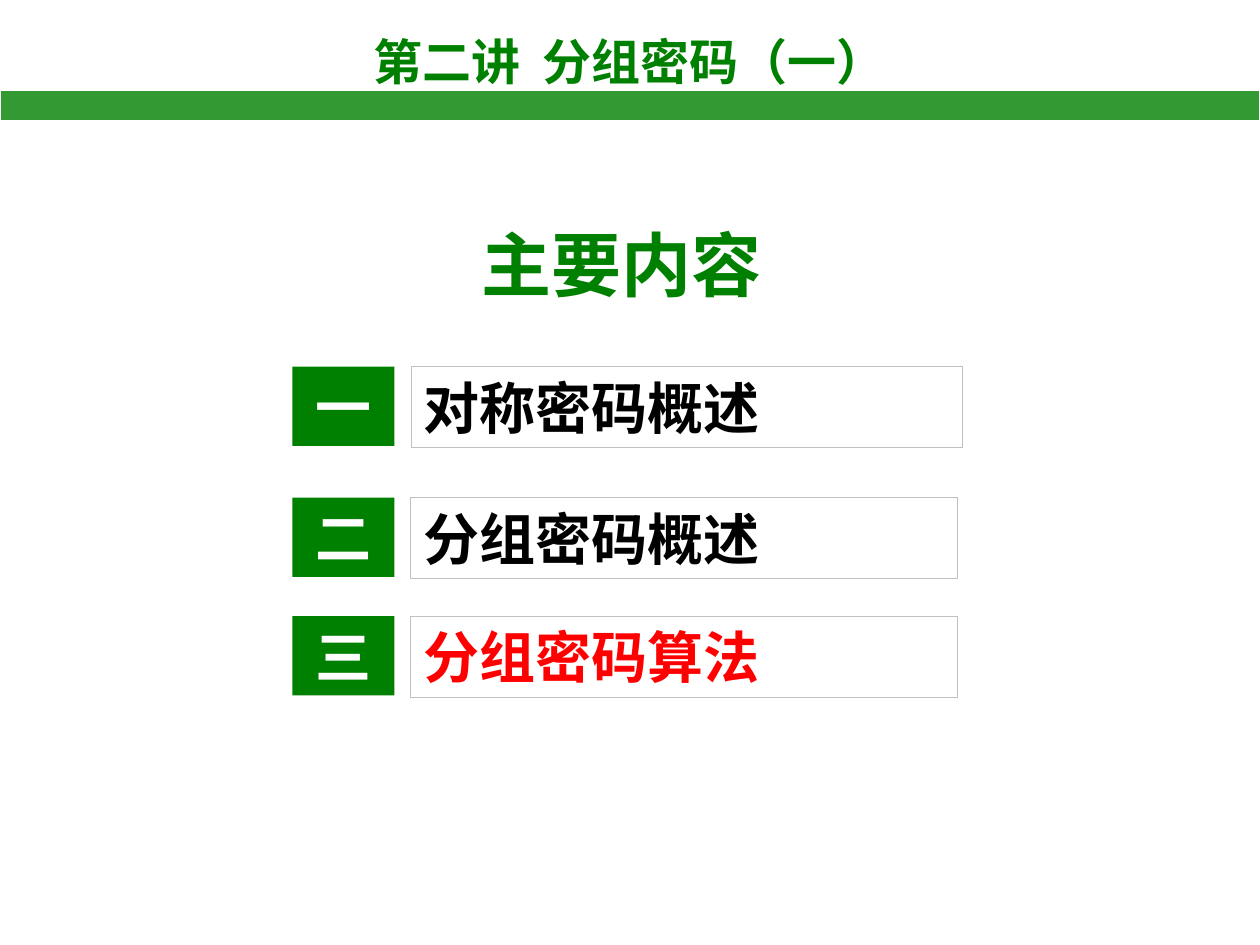
from dataclasses import dataclass

from lxml import etree
from pptx import Presentation
from pptx.dml.color import RGBColor
from pptx.enum.shapes import MSO_SHAPE
from pptx.enum.text import MSO_ANCHOR, MSO_AUTO_SIZE, PP_ALIGN
from pptx.oxml.ns import qn
from pptx.util import Inches, Pt

RECTANGLE = MSO_SHAPE.RECTANGLE
ROUNDED = MSO_SHAPE.ROUNDED_RECTANGLE
LEFT, CENTER = PP_ALIGN.LEFT, PP_ALIGN.CENTER
TOP, MIDDLE = MSO_ANCHOR.TOP, MSO_ANCHOR.MIDDLE
TITLE_ONLY = 5


@dataclass(frozen=True)
class Theme:
    font: str = "Noto Sans CJK SC"
    latin_font: str = "Times New Roman"
    green: str = "008000"
    band: str = "339933"
    white: str = "FFFFFF"
    black: str = "000000"
    red: str = "FF0000"
    border: str = "C0C0C0"
    heading_size: int = 28
    title_size: int = 40
    item_size: int = 32


THEME = Theme()


def write_text(shape, text, *, size, color, font=THEME.font, align=LEFT,
               anchor=TOP, wrap=True):
    frame = shape.text_frame
    frame.auto_size = MSO_AUTO_SIZE.NONE
    frame.word_wrap = wrap
    frame.vertical_anchor = anchor
    frame.margin_left = frame.margin_right = Inches(0.1)
    frame.margin_top = frame.margin_bottom = Inches(0.05)
    paragraph = frame.paragraphs[0]
    paragraph.alignment = align
    run = paragraph.add_run()
    run.text = text
    run.font.size = Pt(size)
    run.font.bold = True
    run.font.color.rgb = RGBColor.from_string(color)
    run.font.name = font
    # Chinese glyphs take the East Asian typeface
    east_asian = etree.SubElement(run.font._element, qn("a:ea"))
    east_asian.set("typeface", THEME.font)


def add_box(slide, kind, left, top, width, height, *, fill=None, line=None,
            line_width=0.75):
    shape = slide.shapes.add_shape(kind, Inches(left), Inches(top),
                                   Inches(width), Inches(height))
    shape.shadow.inherit = False
    if fill:
        shape.fill.solid()
        shape.fill.fore_color.rgb = RGBColor.from_string(fill)
    else:
        shape.fill.background()
    if line:
        shape.line.color.rgb = RGBColor.from_string(line)
        shape.line.width = Pt(line_width)
    else:
        shape.line.fill.background()
    return shape


def add_header(slide, text, left, top, width, height):
    """Lecture name centred above a full-width band."""
    heading = slide.shapes.add_textbox(Inches(left + 2.48), Inches(top),
                                       Inches(5.03), Inches(0.57))
    write_text(heading, text, size=THEME.heading_size, color=THEME.green,
               align=CENTER)
    band_height = 0.24
    add_box(slide, RECTANGLE, left, top + height - band_height, width,
            band_height, fill=THEME.band, line=THEME.white)


def place_title(slide, text, left, top, width, height):
    title = slide.shapes.title
    title.left, title.top = Inches(left), Inches(top)
    title.width, title.height = Inches(width), Inches(height)
    write_text(title, text, size=THEME.title_size, color=THEME.green,
               wrap=False)


def add_agenda_item(slide, number, text, left, top, width, height, *,
                    color=THEME.black, font=THEME.font):
    """Green number tile followed by an outlined topic box."""
    tile_width, topic_offset = 0.81, 0.94
    tile = add_box(slide, RECTANGLE, left, top, tile_width, height - 0.01,
                   fill=THEME.green)
    write_text(tile, number, size=THEME.item_size, color=THEME.white,
               align=CENTER, anchor=MIDDLE, wrap=False)
    topic = add_box(slide, ROUNDED, left + topic_offset, top,
                    width - topic_offset, height, line=THEME.border,
                    line_width=0.25)
    topic.adjustments[0] = 0
    write_text(topic, text, size=THEME.item_size, color=color, font=font,
               anchor=MIDDLE)


def main():
    presentation = Presentation()
    presentation.slide_width = Inches(10)
    presentation.slide_height = Inches(7.5)
    slide = presentation.slides.add_slide(
        presentation.slide_layouts[TITLE_ONLY])

    add_header(slide, "第二讲  分组密码（一）", 0, 0.2, 10, 0.76)
    place_title(slide, "主要内容", 3.72, 1.71, 2.59, 0.77)

    # Agenda: number, topic, top, width, text format
    items = [
        ("一", "对称密码概述", 2.91, 5.32, {}),
        ("二", "分组密码概述", 3.95, 5.28, {"font": THEME.latin_font}),
        ("三", "分组密码算法", 4.89, 5.28, {"color": THEME.red}),
    ]
    for number, text, top, width, text_format in items:
        add_agenda_item(slide, number, text, 2.32, top, width, 0.64,
                        **text_format)

    presentation.save("out.pptx")


if __name__ == "__main__":
    main()
